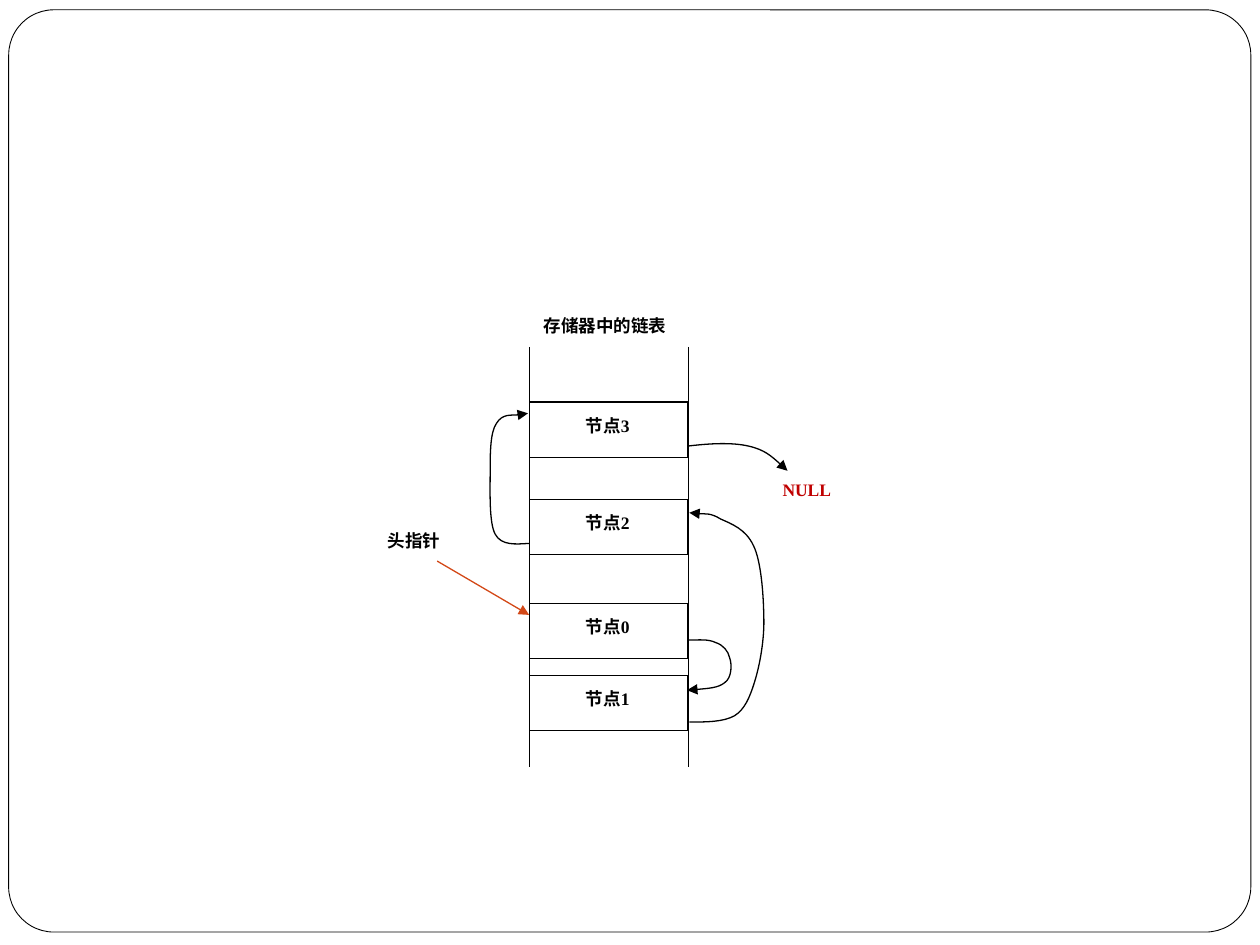
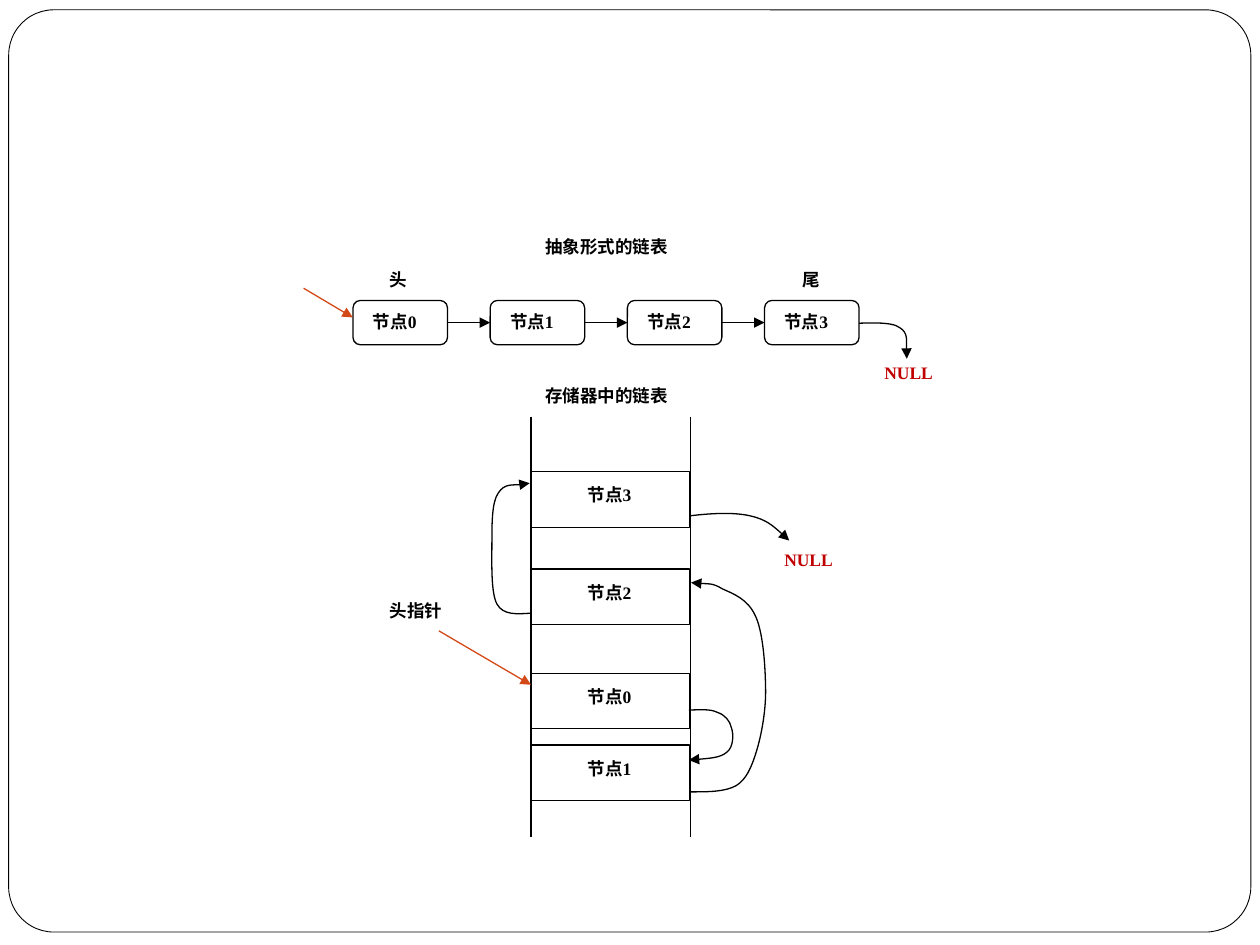
from lxml import etree
from pptx import Presentation
from pptx import util as u
from pptx.dml.color import RGBColor
from pptx.enum import shapes, text
from pptx.oxml import ns

COLORS = {"ink": "000000", "paper": "FFFFFF", "pointer": "D34817", "null": "C00000"}
FONT = "Times New Roman"
LABEL_HEIGHT = 18.7

MEMORY_TITLE = ("存储器中的链表", 309.4, 179.3, 84.2)
MEMORY_LABELS = [("头指针", 220.3, 302, 41, "ink"), ("NULL", 445.8, 272.9, 31, "null")]
MEMORY_CELLS = [("节点3", 229.7), ("节点2", 285.3), ("节点0", 344.8), ("节点1", 385.9)]
CELL_LEFT, CELL_WIDTH, CELL_HEIGHT = 302.4, 90.8, 31.7
RAILS = (302.4, 393.5)
RAIL_TOP, RAIL_BOTTOM = 198.2, 438.5
HEAD_POINTER = [(249.8, 320.6), (302.4, 351.4)]
MEMORY_LINKS = {
    "3 to NULL": [
        (393.1, 254.9), (405.4, 253.4), (418.3, 252.7), (427.7, 254.9),
        (437, 257), (443.5, 262.8), (450, 269),
    ],
    "2 to 3": [
        (302.4, 310.5), (294.5, 311), (286.6, 311.8), (283, 305.3),
        (279.4, 298.8), (280.1, 280.8), (280.1, 270),
        (280.1, 259.2), (280.1, 247), (283.7, 241.9),
        (287.3, 236.2), (298.1, 237.6), (301.7, 236.2),
    ],
    "0 to 1": [
        (392.6, 365.8), (398.9, 365.8), (404.6, 365), (409, 367.2),
        (413.3, 368.6), (416.2, 372.2), (416.9, 375.8),
        (418.3, 379.4), (418.3, 387.4), (414, 390.2),
        (410.4, 393.1), (401, 393.8), (392.6, 394.4),
    ],
    "1 to 2": [
        (393.9, 412.6), (403.9, 412.6), (413.3, 412.6), (419.8, 409),
        (425.5, 405.4), (428.4, 398.9), (431.3, 389.5),
        (434.2, 380.2), (437, 365), (436.5, 352.1),
        (436.3, 339.1), (434.9, 320.4), (430.6, 311.8),
        (426.2, 302.4), (418.3, 299.5), (411.8, 296.6),
        (406.1, 293), (397.4, 293.8), (393.9, 293),
    ],
}

CHAIN_TITLE = ("抽象形式的链表", 310.3, 134, 84.2)
CHAIN_NODES = ["节点0", "节点1", "节点2", "节点3"]
CHAIN_LABELS = [
    ("头", 221, 152.9, 16.6, "ink"),
    ("尾", 457.2, 152.9, 16.6, "ink"),
    ("NULL", 504, 205.9, 31, "null"),
]
CHAIN_LEFT, CHAIN_TOP, CHAIN_PITCH = 201.7, 171.7, 78.4
NODE_WIDTH, NODE_HEIGHT = 54, 25.3
CHAIN_POINTER = [(173.5, 164.7), (201.6, 181.4)]
CHAIN_LINK = [
    (491, 184.7), (494.6, 184.7), (509.8, 183.6), (514.1, 187.2),
    (519.1, 190.1), (517.7, 200.9), (518.2, 205),
]


def color(name):
    return RGBColor.from_string(COLORS[name])


def style_line(line, name="ink", width=0.75, arrow=False):
    line.color.rgb = color(name)
    line.width = u.Pt(width)
    if arrow:
        properties = line._get_or_add_ln()
        etree.SubElement(properties, ns.qn("a:tailEnd"), type="triangle")


def add_outline(slide, kind, left, top, width, height, line_width=0.75):
    shape = slide.shapes.add_shape(kind, u.Pt(left), u.Pt(top), u.Pt(width), u.Pt(height))
    shape.shadow.inherit = False
    shape.fill.background()
    style_line(shape.line, width=line_width)
    return shape


def add_label(slide, content, left, top, width, name="ink"):
    box = slide.shapes.add_textbox(u.Pt(left), u.Pt(top), u.Pt(width), u.Pt(LABEL_HEIGHT))
    frame = box.text_frame
    frame.word_wrap = False
    frame.vertical_anchor = text.MSO_ANCHOR.TOP
    frame.margin_left = frame.margin_right = u.Pt(1.4)
    frame.margin_top = frame.margin_bottom = u.Pt(0.7)
    paragraph = frame.paragraphs[0]
    paragraph.alignment = text.PP_ALIGN.LEFT
    run = paragraph.add_run()
    run.text = content
    run.font.name = FONT
    run.font.size = u.Pt(10)
    run.font.bold = True
    run.font.color.rgb = color(name)


def add_line(slide, start, end, name="ink", arrow=False):
    points = [u.Pt(value) for value in (*start, *end)]
    connector = slide.shapes.add_connector(shapes.MSO_CONNECTOR.STRAIGHT, *points)
    style_line(connector.line, name, arrow=arrow)
    etree.SubElement(connector._element.spPr, ns.qn("a:effectLst"))
    return connector


def add_curved_arrow(slide, controls, dx=0, dy=0):
    points = [(u.Pt(x + dx), u.Pt(y + dy)) for x, y in controls]
    builder = slide.shapes.build_freeform(*points[0], scale=1)
    builder.add_line_segments(points[1:], close=False)
    shape = builder.convert_to_shape()
    segments = list(shape._element.iter(ns.qn("a:lnTo")))
    for first in range(0, len(segments), 3):
        curve = etree.Element(ns.qn("a:cubicBezTo"))
        segments[first].addprevious(curve)
        for segment in segments[first:first + 3]:
            curve.append(segment[0])
            segment.getparent().remove(segment)
    shape.shadow.inherit = False
    shape.fill.background()
    style_line(shape.line, arrow=True)


def add_slide(presentation):
    return presentation.slides.add_slide(presentation.slide_layouts[6])


def add_master_frame(presentation, slide):
    frame = add_outline(
        slide, shapes.MSO_SHAPE.ROUNDED_RECTANGLE, 5, 5.6, 709.8, 527, line_width=0.5
    )
    frame.adjustments[0] = 0.049
    frame.fill.solid()
    frame.fill.fore_color.rgb = color("paper")
    presentation.slide_master.shapes._spTree.insert(2, frame._element)


def draw_memory(slide, dx=0, dy=0):
    left_rail, right_rail = [x + dx for x in RAILS]
    add_line(slide, (left_rail, RAIL_TOP + dy), (left_rail, RAIL_BOTTOM + dy))
    for name, top in MEMORY_CELLS:
        left = CELL_LEFT + dx
        add_outline(slide, shapes.MSO_SHAPE.RECTANGLE, left, top + dy, CELL_WIDTH, CELL_HEIGHT)
        add_label(slide, name, left + 31, top + dy + 6.5, 34.6)
    add_line(slide, (right_rail, RAIL_TOP + dy), (right_rail, RAIL_BOTTOM + dy))
    start, end = [(x + dx, y + dy) for x, y in HEAD_POINTER]
    add_line(slide, start, end, "pointer", arrow=True)
    for content, left, top, *rest in [*MEMORY_LABELS, MEMORY_TITLE]:
        add_label(slide, content, left + dx, top + dy, *rest)
    for controls in MEMORY_LINKS.values():
        add_curved_arrow(slide, controls, dx, dy)


def draw_chain(slide):
    nodes = []
    for index, name in enumerate(CHAIN_NODES):
        left = CHAIN_LEFT + index * CHAIN_PITCH
        node = add_outline(
            slide, shapes.MSO_SHAPE.ROUNDED_RECTANGLE, left, CHAIN_TOP, NODE_WIDTH, NODE_HEIGHT
        )
        add_label(slide, name, left + 10, CHAIN_TOP + 5.4, 34.6)
        nodes.append(node)
    for label in CHAIN_LABELS:
        add_label(slide, *label)
    add_line(slide, *CHAIN_POINTER, "pointer", arrow=True)
    for source, target in zip(nodes, nodes[1:]):
        connector = add_line(slide, (0, 0), (0, 0), arrow=True)
        connector.begin_connect(source, 3)
        connector.end_connect(target, 1)
    add_label(slide, *CHAIN_TITLE)
    add_curved_arrow(slide, CHAIN_LINK)


def main():
    presentation = Presentation()
    presentation.slide_width = u.Pt(720)
    presentation.slide_height = u.Pt(540)
    memory_slide = add_slide(presentation)
    add_master_frame(presentation, memory_slide)
    draw_memory(memory_slide)
    chain_slide = add_slide(presentation)
    draw_chain(chain_slide)
    draw_memory(chain_slide, dx=1, dy=39.9)
    presentation.save("out.pptx")


if __name__ == "__main__":
    main()
